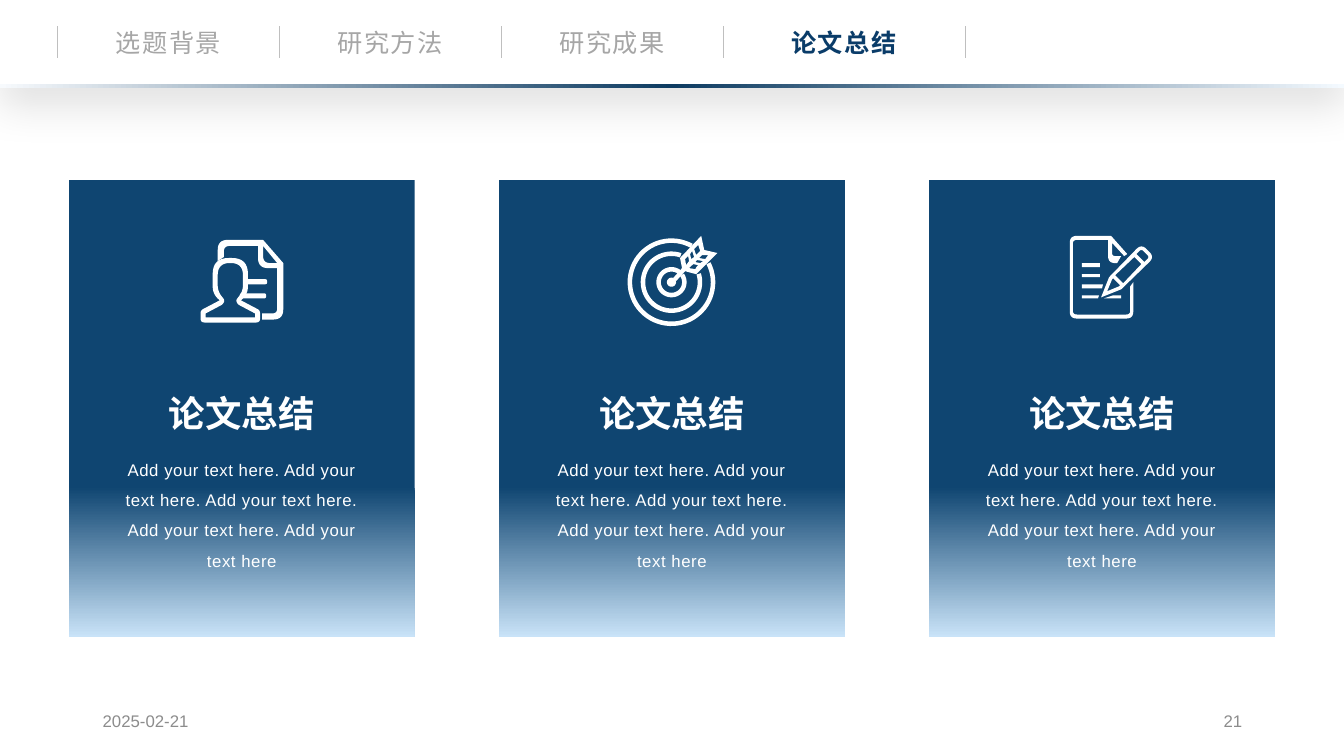
from copy import deepcopy
from dataclasses import dataclass
from math import cos, hypot, radians, sin

from lxml.etree import SubElement
from pptx import Presentation
from pptx.dml.color import RGBColor
from pptx.enum.shapes import MSO_CONNECTOR, MSO_SHAPE
from pptx.enum.text import MSO_ANCHOR, MSO_AUTO_SIZE, PP_ALIGN
from pptx.oxml.ns import qn
from pptx.util import Inches, Pt


@dataclass(frozen=True)
class Theme:
    font: str = "Arial"
    white: str = "FFFFFF"
    card: tuple = ((0.67, "0F4571"), (1, "C9E3F8"))
    bar: tuple = ((0, "F7FAFD"), (0.5, "0D3B61"), (1, "F4FAFF"))
    active: str = "0A3C69"
    inactive: str = "A6A6A6"
    divider: str = "BFBFBF"
    footer: str = "8C8C8C"
    title_size: int = 26
    nav_size: int = 18
    small_size: int = 12


THEME = Theme()


def block(left, top, right, bottom, radius=0):
    return [(left, top, radius), (right, top, radius),
            (right, bottom, radius), (left, bottom, radius)]


def ring(outer, inner, half_gap):
    """Ring of the target, open where the arrow comes in."""
    angles = [radians(-44 + half_gap + (360 - 2 * half_gap) * i / 60) for i in range(61)]
    return [(43.5 + r * cos(a), 46 + r * sin(a))
            for r, turn in ((outer, angles), (inner, angles[::-1])) for a in turn]


# Content
SECTIONS = ["选题背景", "研究方法", "研究成果", "论文总结"]
ACTIVE_SECTION = 3
SAMPLE = " ".join(["Add your text here."] * 5).rstrip(".")
DATE, PAGE_NUMBER = "2025-02-21", "21"

# Icon parts: contours of (x, y, corner radius) in hundredths of an inch
PROFILE = [
    [block(39, 53, 65, 58, 2), block(43, 39, 66, 44, 2)],
    [[(17, 21), (17, 0, 10), (62, 0), (82, 23), (82, 79, 10), (61, 79), (61, 73),
      (76, 73, 5), (76, 28), (57, 28, 10), (57, 6), (23, 6, 6), (23, 17)],
     [(62, 6), (76, 23), (62, 23, 7)]],
    [[(0, 82, 4), (0, 70, 3), (19, 60), (12, 54, 8), (12, 18, 16), (47, 18, 16),
      (47, 54, 8), (40, 60), (59, 70, 3), (59, 82, 4)],
     [(5, 77), (5, 73), (22, 64, 2), (24, 60, 2), (17, 51, 6), (17, 23, 12),
      (42, 23, 12), (42, 51, 6), (35, 60, 2), (37, 64, 2), (54, 73), (54, 77)]],
]
TARGET = [
    [ring(43.5, 39, 17), ring(30.5, 26, 27), ring(15, 10.5, 9), ring(4.5, 0, 0)],
    [[(73, 0), (76, 14), (89, 17), (68, 38), (57, 35), (48, 45), (45, 42), (54, 32), (52, 22)],
     [(63, 23), (62, 18), (64, 15), (66, 21)],
     [(60, 20), (61, 25), (58, 29), (57, 23)],
     [(69, 30), (67, 33), (61, 32), (65, 28), (70, 29)],
     [(72, 27), (67, 26), (69, 24), (75, 25)],
     [(77, 23), (71, 22), (74, 19), (80, 19)],
     [(72, 15), (68, 19), (66, 13), (70, 9)]],
]
DOCUMENT = [
    [[(42, 7), (42, 20, 3), (51, 20), (47, 27), (38, 27, 7), (38, 4), (3, 4, 4),
      (3, 78, 4), (60, 78, 4), (60, 50), (63, 46), (63, 82, 7), (0, 82, 7),
      (0, 0, 7), (41, 0), (57, 18), (54, 20)],
     block(12, 27, 30, 31), block(12, 38, 30, 41),
     [(12, 48), (33, 48), (32, 52), (12, 52)],
     [(12, 59), (29, 59), (28, 62), (12, 62)],
     [(43, 59), (51, 59), (51, 62), (34, 62)]],
    [[(51, 53), (31, 61), (39, 41), (71, 8, 7), (84, 21, 7)],
     [(37, 55), (49, 50), (50, 49), (43, 42), (42, 43)],
     [(45, 39), (53, 47), (71, 28), (64, 21)],
     [(66, 18), (71, 13, 3), (79, 21, 3), (74, 26)]],
]
# title, body, icon, icon offset from the card's centre line, icon top
CARDS = [("论文总结", SAMPLE, PROFILE, -0.41, 2.38),
         ("论文总结", SAMPLE, TARGET, -0.44, 2.34),
         ("论文总结", SAMPLE, DOCUMENT, -0.32, 2.34)]

# Layout
WIDTH, HEIGHT = 13.33, 7.5
CARD_W, CARD_H, CARD_TOP, CARD_PITCH = 3.43, 4.53, 1.79, 0.32 * WIDTH
NAV_LEFT, NAV_COLUMNS = 0.57, (2.2, 2.2, 2.2, 2.4)
HEADER_H = 0.86


def rgb(value):
    return RGBColor.from_string(value)


def inches(*lengths):
    return [Inches(length) for length in lengths]


def paint(shape, colour):
    shape.shadow.inherit = False
    shape.fill.solid()
    shape.fill.fore_color.rgb = rgb(colour)
    shape.line.fill.background()
    return shape


def paint_gradient(shape, stops, angle):
    shape.shadow.inherit = False
    shape.line.fill.background()
    shape.fill.gradient()
    shape.fill.gradient_angle = angle
    stop_list = shape._element.spPr.find(".//" + qn("a:gsLst"))
    while len(stop_list) < len(stops):
        stop_list.append(deepcopy(stop_list[0]))
    for stop, (position, colour) in zip(shape.fill.gradient_stops, stops):
        stop.position = position
        stop.color.rgb = rgb(colour)


def add_text(shapes, text, at, size, colour, align=PP_ALIGN.CENTER, bold=False,
             spacing=0, line_spacing=None, wrap=True, grow=True, anchor=MSO_ANCHOR.TOP):
    box = shapes.add_textbox(*inches(*at))
    frame = box.text_frame
    frame.word_wrap = wrap
    frame.auto_size = MSO_AUTO_SIZE.SHAPE_TO_FIT_TEXT if grow else MSO_AUTO_SIZE.NONE
    frame.vertical_anchor = anchor
    paragraph = frame.paragraphs[0]
    paragraph.alignment = align
    if line_spacing:
        paragraph.line_spacing = line_spacing
    run = paragraph.add_run()
    run.text = text
    run.font.name, run.font.size, run.font.bold = THEME.font, Pt(size), bold
    run.font.color.rgb = rgb(colour)
    if spacing:
        run._r.get_or_add_rPr().set("spc", str(round(spacing * 100)))


def rounded(contour):
    """Points of the contour with each corner bent by its radius."""
    points = []
    for i, (x, y, *radius) in enumerate(contour):
        if not radius or not radius[0]:
            points.append((x, y))
            continue
        ends = []
        for nx, ny, *_ in (contour[i - 1], contour[(i + 1) % len(contour)]):
            share = radius[0] / hypot(nx - x, ny - y)
            ends.append((x + (nx - x) * share, y + (ny - y) * share))
        (ax, ay), (bx, by) = ends
        for t in (k / 8 for k in range(9)):
            points.append(((1 - t) ** 2 * ax + 2 * t * (1 - t) * x + t * t * bx,
                           (1 - t) ** 2 * ay + 2 * t * (1 - t) * y + t * t * by))
    return points


def add_icon(shapes, parts, left, top):
    group = shapes.add_group_shape().shapes
    for part in parts:
        outlines = [[inches(left + x / 100, top + y / 100) for x, y in rounded(contour)]
                    for contour in part]
        builder = group.build_freeform(*outlines[0][0])
        for i, outline in enumerate(outlines):
            if i:
                builder.move_to(*outline[0])
            builder.add_line_segments(outline[1:], close=True)
        paint(builder.convert_to_shape(), THEME.white)


def add_header(shapes):
    group = shapes.add_group_shape().shapes
    band = paint(group.add_shape(MSO_SHAPE.RECTANGLE, *inches(0, 0, WIDTH, HEADER_H)), THEME.white)
    effects = band._element.spPr.find(qn("a:effectLst"))
    shadow = SubElement(effects, qn("a:outerShdw"), blurRad=str(Pt(28)), dist=str(Pt(15)),
                        dir="5400000", algn="t", rotWithShape="0")
    black = SubElement(shadow, qn("a:srgbClr"), val="000000")
    SubElement(black, qn("a:alpha"), val="11000")

    for i in range(len(SECTIONS) + 1):
        x = NAV_LEFT + sum(NAV_COLUMNS[:i])
        divider = group.add_connector(MSO_CONNECTOR.STRAIGHT, *inches(x, 0.26, x, 0.58))
        divider.line.color.rgb = rgb(THEME.divider)
        divider.line.width = Pt(0.5)
        SubElement(divider._element.spPr, qn("a:effectLst"))
        if i < len(SECTIONS):
            active = i == ACTIVE_SECTION
            add_text(group, SECTIONS[i], (x + (NAV_COLUMNS[i] - 1.27) / 2, 0.22, 1.27, 0.4),
                     THEME.nav_size, THEME.active if active else THEME.inactive,
                     bold=active, spacing=1, wrap=False)
    bar = group.add_shape(MSO_SHAPE.RECTANGLE, *inches(0, 0.83, WIDTH, 0.04))
    paint_gradient(bar, THEME.bar, 0)


def main():
    deck = Presentation()
    deck.slide_width, deck.slide_height = inches(WIDTH, HEIGHT)
    shapes = deck.slides.add_slide(deck.slide_layouts[6]).shapes

    # Footer
    for text, left, align in ((DATE, 0.92, PP_ALIGN.LEFT), (PAGE_NUMBER, 9.42, PP_ALIGN.RIGHT)):
        add_text(shapes, text, (left, 6.95, 3, 0.4), THEME.small_size, THEME.footer,
                 align=align, grow=False, anchor=MSO_ANCHOR.MIDDLE)

    # Cards
    for i, (title, body, icon, offset, icon_top) in enumerate(CARDS):
        centre = WIDTH / 2 + (i - 1) * CARD_PITCH
        card = shapes.add_shape(MSO_SHAPE.RECTANGLE,
                                *inches(centre - CARD_W / 2, CARD_TOP, CARD_W, CARD_H))
        paint_gradient(card, THEME.card, 270)
        add_icon(shapes, icon, centre + offset, icon_top)
        add_text(shapes, title, (centre - 1.2, 3.83, 2.4, 0.54), THEME.title_size,
                 THEME.white, bold=True)
        add_text(shapes, body, (centre - 1.33, 4.41, 2.66, 1.31), THEME.small_size,
                 THEME.white, spacing=0.4, line_spacing=1.5)

    add_header(shapes)
    deck.save("out.pptx")


if __name__ == "__main__":
    main()
